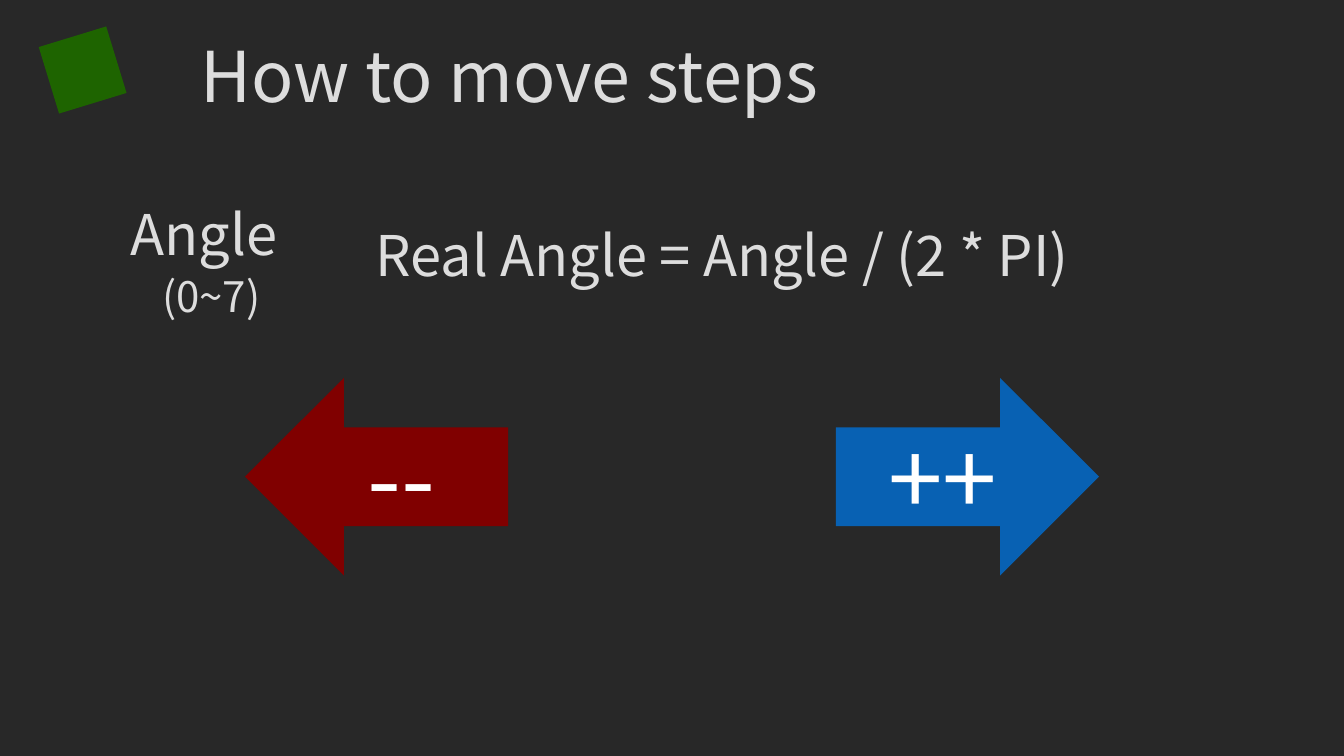
from pptx import Presentation
from pptx.dml.color import RGBColor
from pptx.enum.shapes import MSO_SHAPE
from pptx.enum.text import MSO_ANCHOR, MSO_AUTO_SIZE, PP_ALIGN
from pptx.util import Inches, Pt

RECT, LEFT, RIGHT = MSO_SHAPE.RECTANGLE, MSO_SHAPE.LEFT_ARROW, MSO_SHAPE.RIGHT_ARROW
TOP, MIDDLE = MSO_ANCHOR.TOP, MSO_ANCHOR.MIDDLE
GROW, FIXED = MSO_AUTO_SIZE.SHAPE_TO_FIT_TEXT, MSO_AUTO_SIZE.NONE
CENTER = PP_ALIGN.CENTER

WIDE, HIGH = 13.33, 7.5
FONT = "Noto Sans CJK KR"
BACK, PALE, WHITE = "282828", "DDDDDD", "FFFFFF"

# Boxes are left, top, width, height in inches
TITLE = ("How to move steps", (1.12, 0.27, 7.86, 0.94), 50)
LABELS = [
    ("Angle", (0.5, 1.93, 3.05, 0.77), 40),
    ("(0~7)", (0.57, 2.63, 3.05, 0.61), 30),
    ("Real Angle = Angle / (2 * PI)", (2.86, 2.14, 8.61, 0.77), 40),
]
SQUARE = (0.47, 0.35, 0.7, 0.69)
ARROWS = [("--", LEFT, "800000"), ("++", RIGHT, "0861B3")]
ARROW_X, ARROW_Y, ARROW_STEP = 2.43, 3.75, 5.86
ARROW_W, ARROW_H = 2.61, 1.96


def color(code):
    return RGBColor.from_string(code)


def place(box):
    return [Inches(n) for n in box]


def write(shape, text, size, code, anchor=TOP, fit=GROW):
    frame = shape.text_frame
    frame.text = text
    form = {"word_wrap": True, "auto_size": fit, "vertical_anchor": anchor}
    for key, value in form.items():
        setattr(frame, key, value)
    line = frame.paragraphs[0]
    line.alignment = CENTER
    font = line.runs[0].font
    for key, value in {"name": FONT, "size": Pt(size)}.items():
        setattr(font, key, value)
    font.color.rgb = color(code)


def draw(slide, kind, box, code):
    shape = slide.shapes.add_shape(kind, *place(box))
    shape.shadow.inherit = False
    shape.fill.solid()
    shape.fill.fore_color.rgb = color(code)
    shape.line.fill.background()
    return shape


def main():
    deck = Presentation()
    deck.slide_width, deck.slide_height = Inches(WIDE), Inches(HIGH)
    slide = deck.slides.add_slide(deck.slide_layouts[5])
    slide.background.fill.solid()
    slide.background.fill.fore_color.rgb = color(BACK)

    draw(slide, RECT, SQUARE, "1E6400").rotation = 343

    text, box, size = TITLE
    title = slide.shapes.title
    for key, value in zip(("left", "top", "width", "height"), place(box)):
        setattr(title, key, value)
    write(title, text, size, PALE)

    for text, box, size in LABELS:
        write(slide.shapes.add_textbox(*place(box)), text, size, PALE)

    for i, (text, kind, code) in enumerate(ARROWS):
        box = (ARROW_X + i * ARROW_STEP, ARROW_Y, ARROW_W, ARROW_H)
        write(draw(slide, kind, box, code), text, 70, WHITE, MIDDLE, FIXED)

    deck.save("out.pptx")


if __name__ == "__main__":
    main()
